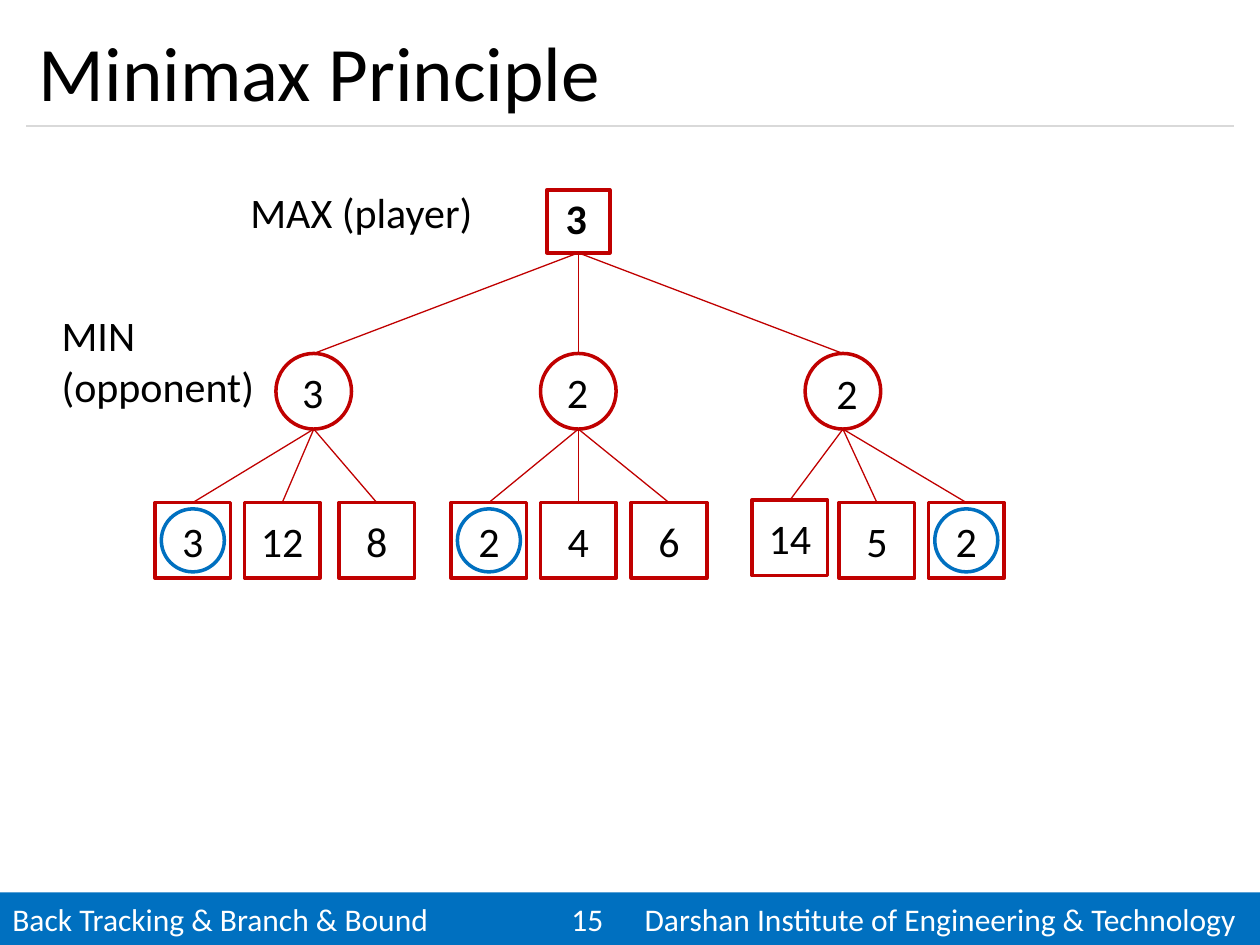
from lxml import etree
from pptx import Presentation
from pptx.dml.color import RGBColor
from pptx.enum.shapes import MSO_CONNECTOR, MSO_SHAPE
from pptx.enum.text import MSO_ANCHOR, MSO_AUTO_SIZE, PP_ALIGN
from pptx.oxml.ns import qn
from pptx.util import Pt

RECTANGLE, OVAL = MSO_SHAPE.RECTANGLE, MSO_SHAPE.OVAL
STRAIGHT = MSO_CONNECTOR.STRAIGHT
LEFT, CENTER = PP_ALIGN.LEFT, PP_ALIGN.CENTER
MIDDLE, TOP = MSO_ANCHOR.MIDDLE, MSO_ANCHOR.TOP
TITLE_ONLY = 5
SITE_TOP, SITE_BOTTOM = 0, 2

COLORS = {
    "node": "C00000",
    "accent": "0070C0",
    "rule": "D9D9D9",
    "ink": "000000",
    "paper": "FFFFFF",
}
ROOT_SIZE, NODE_SIZE = 36, 43.2
MIN_LEFT, MIN_TOP, MIN_STEP = 157.7, 202, 151.2
LEAF_TOP = 287.2
BRANCHES = [
    [("3", 88.6, 0), ("12", 139.7, 0), ("8", 193.7, 0)],
    [("2", 257.8, 0), ("4", 308.9, 0), ("6", 360.7, 0)],
    [("14", 429.8, -1.4), ("5", 479.5, 0), ("2", 530.6, 0)],
]
CHOSEN = [0, 0, 2]
LABELS = [
    ("MAX (player)", 136, 103, 153.4, 36, False),
    ("MIN\v(opponent)", 28.1, 173.5, 131, 65.5, False),
    ("3", 165.6, 206, 27.4, 36, False),
    ("2", 316.8, 206, 27.4, 36, False),
    ("2", 470.9, 206.6, 25.2, 36, False),
    ("3", 316.1, 106.6, 27.4, 36, True),
]


def color(name):
    return RGBColor.from_string(COLORS[name])


def write(frame, text, size=24, ink="ink", bold=False, align=LEFT, anchor=TOP, tabs=()):
    frame.word_wrap = True
    frame.vertical_anchor = anchor
    frame.text = text
    para = frame.paragraphs[0]
    para.alignment = align
    if tabs:
        properties = para._p.get_or_add_pPr()
        stops = etree.SubElement(properties, qn("a:tabLst"))
        for position in tabs:
            etree.SubElement(stops, qn("a:tab"), pos=str(Pt(position)), algn="l")
    for span in para.runs:
        span.font.name = "Calibri"
        span.font.size = Pt(size)
        span.font.bold = bold
        span.font.color.rgb = color(ink)


class SlideBuilder:
    def __init__(self, page, line_width=2, edge_width=0.75):
        self.page = page
        self.line_width = line_width
        self.edge_width = edge_width

    def title(self, text, left, top, width, height):
        box = self.page.shapes.title
        box.left, box.top, box.width, box.height = map(Pt, (left, top, width, height))
        write(box.text_frame, text, size=44, anchor=MIDDLE)

    def shape(self, kind, left, top, width, height, fill=None, line=None):
        box = self.page.shapes.add_shape(kind, *map(Pt, (left, top, width, height)))
        box.shadow.inherit = False
        if fill:
            box.fill.solid()
            box.fill.fore_color.rgb = color(fill)
        else:
            box.fill.background()
        if line:
            box.line.color.rgb = color(line)
            box.line.width = Pt(self.line_width)
        else:
            box.line.fill.background()
        return box

    def node(self, kind, left, top, size, text="", line="node"):
        box = self.shape(kind, left, top, size, size, line=line)
        if text:
            write(box.text_frame, text, align=CENTER, anchor=MIDDLE)
        return box

    def label(self, text, left, top, width, height, bold=False):
        box = self.page.shapes.add_textbox(*map(Pt, (left, top, width, height)))
        write(box.text_frame, text, bold=bold)
        box.text_frame.auto_size = MSO_AUTO_SIZE.SHAPE_TO_FIT_TEXT

    def line(self, x1, y1, x2, y2, ink="node"):
        edge = self.page.shapes.add_connector(STRAIGHT, *map(Pt, (x1, y1, x2, y2)))
        edge.line.color.rgb = color(ink)
        edge.line.width = Pt(self.edge_width)
        etree.SubElement(edge._element.spPr, qn("a:effectLst"))
        return edge


def draw_tree(builder):
    middle = MIN_LEFT + MIN_STEP + NODE_SIZE / 2
    root_left, root_top = middle - ROOT_SIZE / 2, 108.5
    root = builder.node(RECTANGLE, root_left, root_top, ROOT_SIZE)
    rings = []
    for index, leaves in enumerate(BRANCHES):
        left = MIN_LEFT + index * MIN_STEP
        center = left + NODE_SIZE / 2
        builder.node(OVAL, left, MIN_TOP, NODE_SIZE)
        edge = builder.line(middle, root_top + ROOT_SIZE, center, MIN_TOP)
        edge.begin_connect(root, SITE_BOTTOM)
        for position, (value, leaf_left, shift) in enumerate(leaves):
            leaf_top = LEAF_TOP + shift
            leaf = builder.node(RECTANGLE, leaf_left, leaf_top, NODE_SIZE, value)
            edge = builder.line(center, MIN_TOP + NODE_SIZE, leaf_left + NODE_SIZE / 2, leaf_top)
            edge.end_connect(leaf, SITE_TOP)
            if position == CHOSEN[index]:
                rings.append(leaf_left)
    inset = (NODE_SIZE - ROOT_SIZE) / 2
    for leaf_left in rings:
        builder.node(OVAL, leaf_left + inset, LEAF_TOP + inset, ROOT_SIZE, line="accent")


def main():
    deck = Presentation()
    deck.slide_width, deck.slide_height = Pt(720), Pt(540)
    builder = SlideBuilder(deck.slides.add_slide(deck.slide_layouts[TITLE_ONLY]))

    footer = builder.shape(RECTANGLE, 0, 510, 720, 30, fill="accent")
    write(
        footer.text_frame,
        "Back Tracking & Branch & Bound\t15\tDarshan Institute of Engineering & Technology",
        size=18, ink="paper", anchor=MIDDLE, tabs=(319.5, 361.3),
    )
    builder.line(15, 72, 705, 72, ink="rule")
    builder.title("Minimax Principle", 15, 8.6, 690, 63.4)
    draw_tree(builder)
    for text, left, top, width, height, bold in LABELS:
        builder.label(text, left, top, width, height, bold=bold)
    deck.save("out.pptx")


if __name__ == "__main__":
    main()
